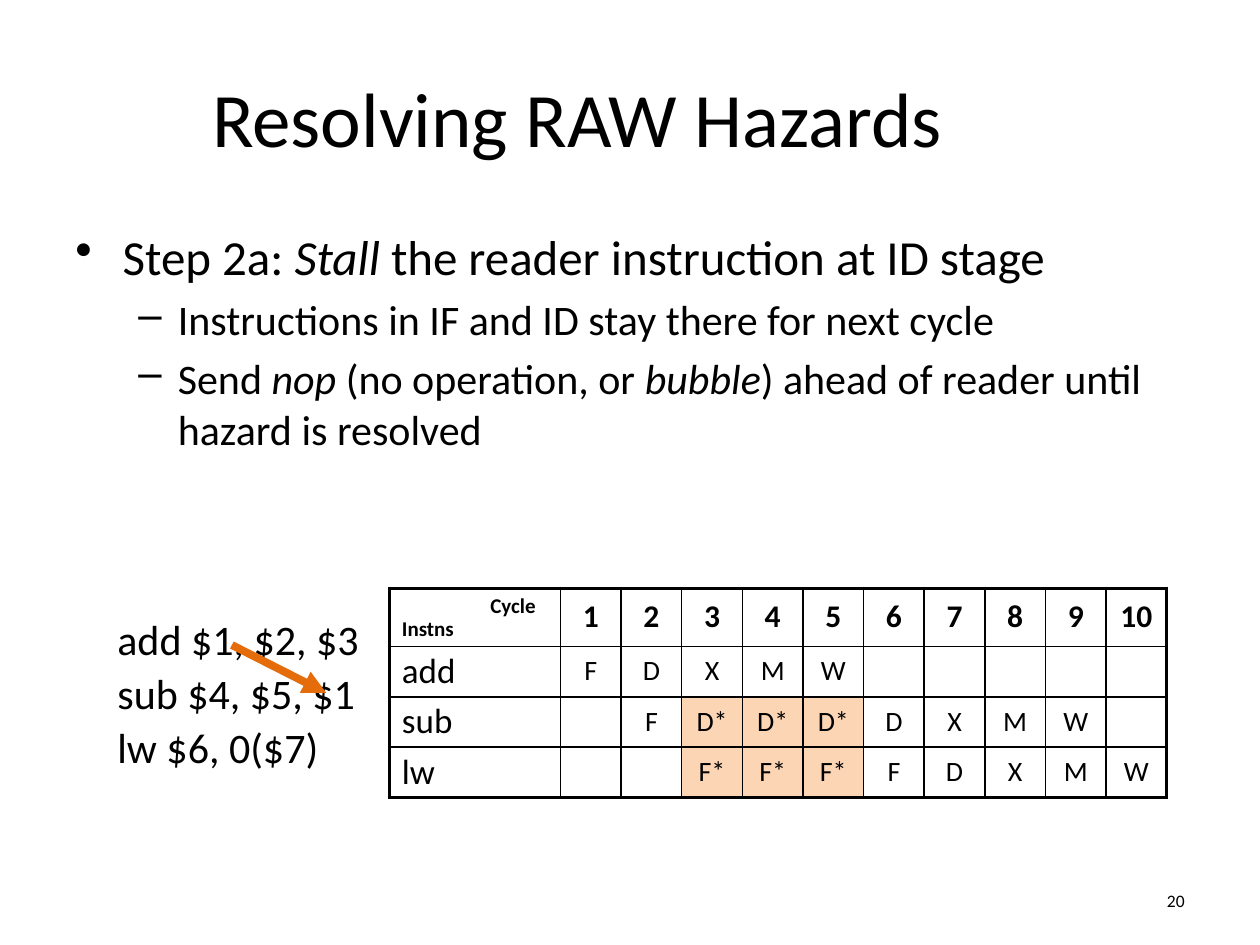
from dataclasses import dataclass

import lxml.etree
import pptx
import pptx.dml.color
import pptx.enum.shapes
import pptx.enum.text
import pptx.oxml.ns
import pptx.util

Pt = pptx.util.Pt
RGBColor = pptx.dml.color.RGBColor
Align = pptx.enum.text.PP_ALIGN
Anchor = pptx.enum.text.MSO_ANCHOR
qn = pptx.oxml.ns.qn

BLACK = RGBColor(0x00, 0x00, 0x00)
WHITE = RGBColor(0xFF, 0xFF, 0xFF)
STALL_FILL = RGBColor(0xFC, 0xD5, 0xB5)
HAZARD_ORANGE = RGBColor(0xE4, 0x6C, 0x0A)
FONT = "Calibri"
CYCLES = 10
THIN, THICK = 1, 2.25


@dataclass(frozen=True)
class Box:
    left: float
    top: float
    width: float
    height: float

    def lengths(self) -> tuple:
        return Pt(self.left), Pt(self.top), Pt(self.width), Pt(self.height)


@dataclass(frozen=True)
class Point:
    text: str
    size: float
    level: int
    bullet: str
    margin: float
    hanging: float


@dataclass(frozen=True)
class Instruction:
    name: str
    first_cycle: int
    stages: str

    def stage_at(self, cycle: int) -> str:
        position = cycle - self.first_cycle
        stages = self.stages.split()
        return stages[position] if 0 <= position < len(stages) else ""


POINTS = [
    Point("Step 2a: *Stall* the reader instruction at ID stage", 28, 0, "•", 27, 27),
    Point("Instructions in IF and ID stay there for next cycle", 24, 1, "–", 58.5, 22.5),
    Point("Send *nop* (no operation, or *bubble*) ahead of reader until hazard is resolved",
          24, 1, "–", 58.5, 22.5),
]
INSTRUCTIONS = [
    Instruction("add", 1, "F D X M W"),
    Instruction("sub", 2, "F D* D* D* D X M W"),
    Instruction("lw", 3, "F* F* F* F D X M W"),
]


def style_runs(paragraph, size: float, bold: bool = False) -> None:
    for run in paragraph.runs:
        run.font.name = FONT
        run.font.size = Pt(size)
        run.font.bold = bold
        run.font.color.rgb = BLACK


def set_indent(paragraph, margin: float, first_line: float = 0) -> None:
    properties = paragraph._p.get_or_add_pPr()
    properties.set("marL", str(Pt(margin)))
    properties.set("indent", str(Pt(first_line)))


def add_text(slide, box: Box, text: str, size: float, align: Align, anchor: Anchor):
    frame = slide.shapes.add_textbox(*box.lengths()).text_frame
    frame.word_wrap = True
    frame.vertical_anchor = anchor
    frame.text = text
    for paragraph in frame.paragraphs:
        paragraph.alignment = align
        style_runs(paragraph, size)
    return frame


def add_points(slide, box: Box, points: list[Point]) -> None:
    frame = add_text(slide, box, "", 24, Align.LEFT, Anchor.TOP)
    for index, point in enumerate(points):
        paragraph = frame.add_paragraph() if index else frame.paragraphs[0]
        paragraph.level = point.level
        set_indent(paragraph, point.margin, -point.hanging)
        if index:
            paragraph.space_before = Pt(point.size * 0.2)
        bullet = lxml.etree.SubElement(paragraph._p.get_or_add_pPr(), qn("a:buChar"))
        bullet.set("char", point.bullet)
        for part, words in enumerate(point.text.split("*")):
            run = paragraph.add_run()
            run.text = words
            run.font.italic = part % 2 == 1
        style_runs(paragraph, point.size)


def add_code(slide, box: Box, code: str) -> None:
    frame = add_text(slide, box, code, 24, Align.LEFT, Anchor.TOP)
    for index, paragraph in enumerate(frame.paragraphs):
        set_indent(paragraph, 36)
        paragraph.line_spacing = 0.9
        if index:
            paragraph.space_before = Pt(4.8)


def add_hazard_arrow(slide, start: tuple[float, float], end: tuple[float, float]) -> None:
    arrow = slide.shapes.add_connector(
        pptx.enum.shapes.MSO_CONNECTOR.STRAIGHT, *map(Pt, start + end))
    arrow.line.color.rgb = HAZARD_ORANGE
    arrow.line.width = Pt(4.5)
    lxml.etree.SubElement(arrow.line._get_or_add_ln(), qn("a:tailEnd")).set("type", "triangle")
    lxml.etree.SubElement(arrow._element.spPr, qn("a:effectLst"))


def set_borders(cell, widths: dict[str, float]) -> None:
    properties = cell._tc.get_or_add_tcPr()
    for side, width in widths.items():
        border = lxml.etree.SubElement(properties, qn(f"a:ln{side}"))
        border.set("w", str(Pt(width)))
        fill = lxml.etree.SubElement(border, qn("a:solidFill"))
        lxml.etree.SubElement(fill, qn("a:srgbClr")).set("val", str(BLACK))


def fill_cell(cell, text: str, size: float, align: Align, anchor: Anchor, bold: bool) -> None:
    cell.vertical_anchor = anchor
    cell.text_frame.text = text
    for paragraph in cell.text_frame.paragraphs:
        paragraph.alignment = align
        paragraph.line_spacing = 0.9
        style_runs(paragraph, size, bold)
    cell.fill.solid()
    cell.fill.fore_color.rgb = STALL_FILL if text.endswith("*") else WHITE


def add_pipeline(slide, box: Box, name_width: float, header_height: float) -> None:
    last_row = len(INSTRUCTIONS)
    table = slide.shapes.add_table(last_row + 1, CYCLES + 1, *box.lengths()).table
    table.first_row = False
    table.horz_banding = False
    for index, column in enumerate(table.columns):
        column.width = Pt((box.width - name_width) / CYCLES if index else name_width)
    for index, row in enumerate(table.rows):
        row.height = Pt((box.height - header_height) / last_row if index else header_height)

    for row in range(last_row + 1):
        for cycle in range(CYCLES + 1):
            cell = table.cell(row, cycle)
            set_borders(cell, {
                "L": THIN if cycle else THICK,
                "R": THICK if cycle == CYCLES else THIN,
                "T": THIN if row else THICK,
                "B": THICK if row == last_row else THIN,
            })
            if row and cycle:
                stage = INSTRUCTIONS[row - 1].stage_at(cycle)
                fill_cell(cell, stage, 16, Align.CENTER, Anchor.MIDDLE, False)
            elif row:
                fill_cell(cell, INSTRUCTIONS[row - 1].name, 20, Align.LEFT, Anchor.TOP, False)
            elif cycle:
                fill_cell(cell, str(cycle), 18, Align.CENTER, Anchor.MIDDLE, True)
            else:
                fill_cell(cell, "Cycle\nInstns", 12, Align.LEFT, Anchor.MIDDLE, True)
                set_indent(cell.text_frame.paragraphs[0], 50.5)


def main() -> None:
    presentation = pptx.Presentation()
    presentation.slide_width = Pt(720)
    presentation.slide_height = Pt(540)
    slide = presentation.slides.add_slide(presentation.slide_layouts[6])

    add_text(slide, Box(36, 21.6, 588, 90), "Resolving RAW Hazards", 44,
             Align.CENTER, Anchor.MIDDLE)
    add_points(slide, Box(36, 126, 666, 403.2), POINTS)
    add_text(slide, Box(600, 500.4, 84, 28.8), "20", 10, Align.RIGHT, Anchor.MIDDLE)
    add_code(slide, Box(24, 350.4, 210, 134.4),
             "add $1, $2, $3\nsub $4, $5, $1\nlw $6, 0($7)")
    add_hazard_arrow(slide, (132.5, 368.6), (186.5, 396))
    add_pipeline(slide, Box(222.5, 336.2, 444.2, 119.5), 97.8, 33.1)

    presentation.save("out.pptx")


if __name__ == "__main__":
    main()
